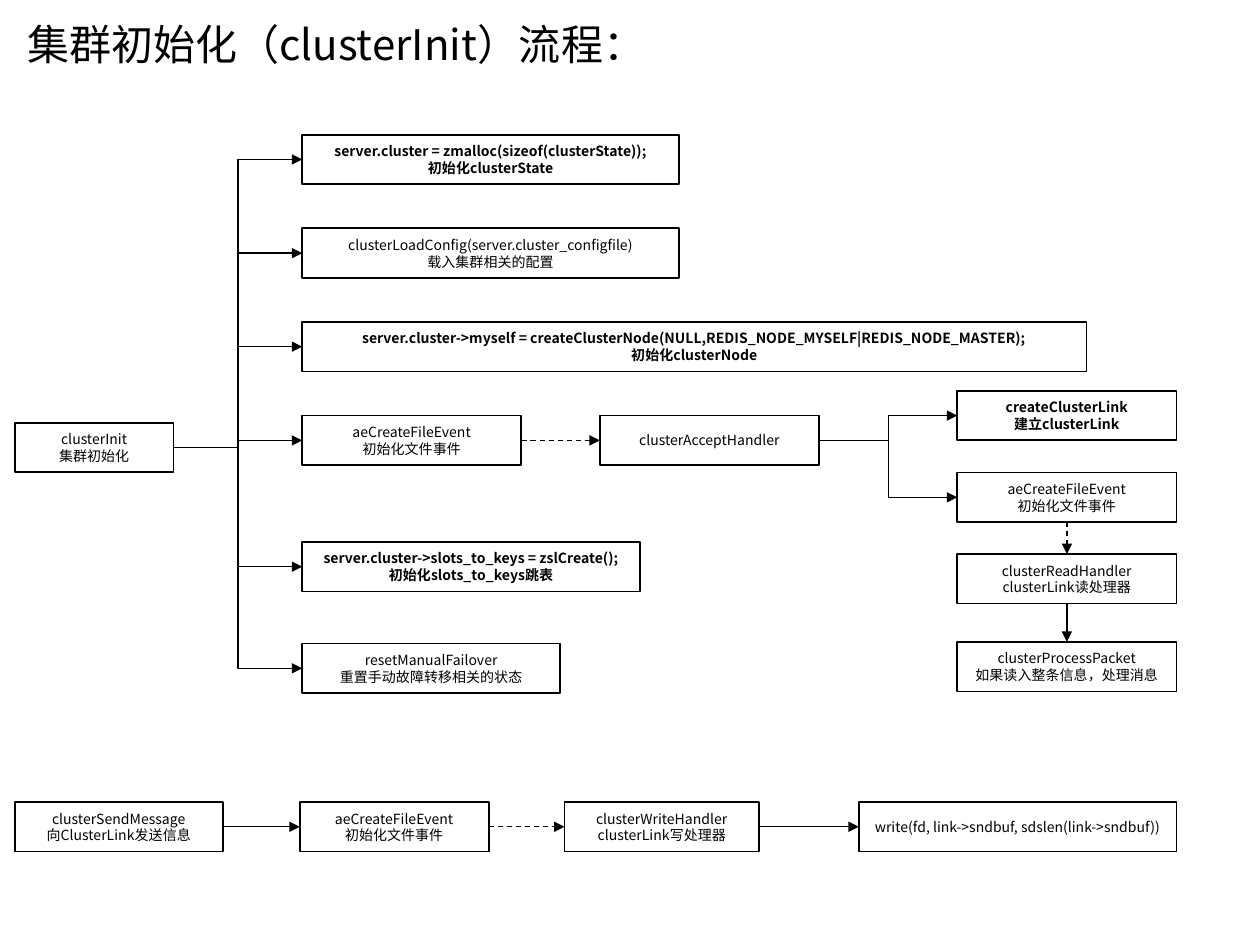
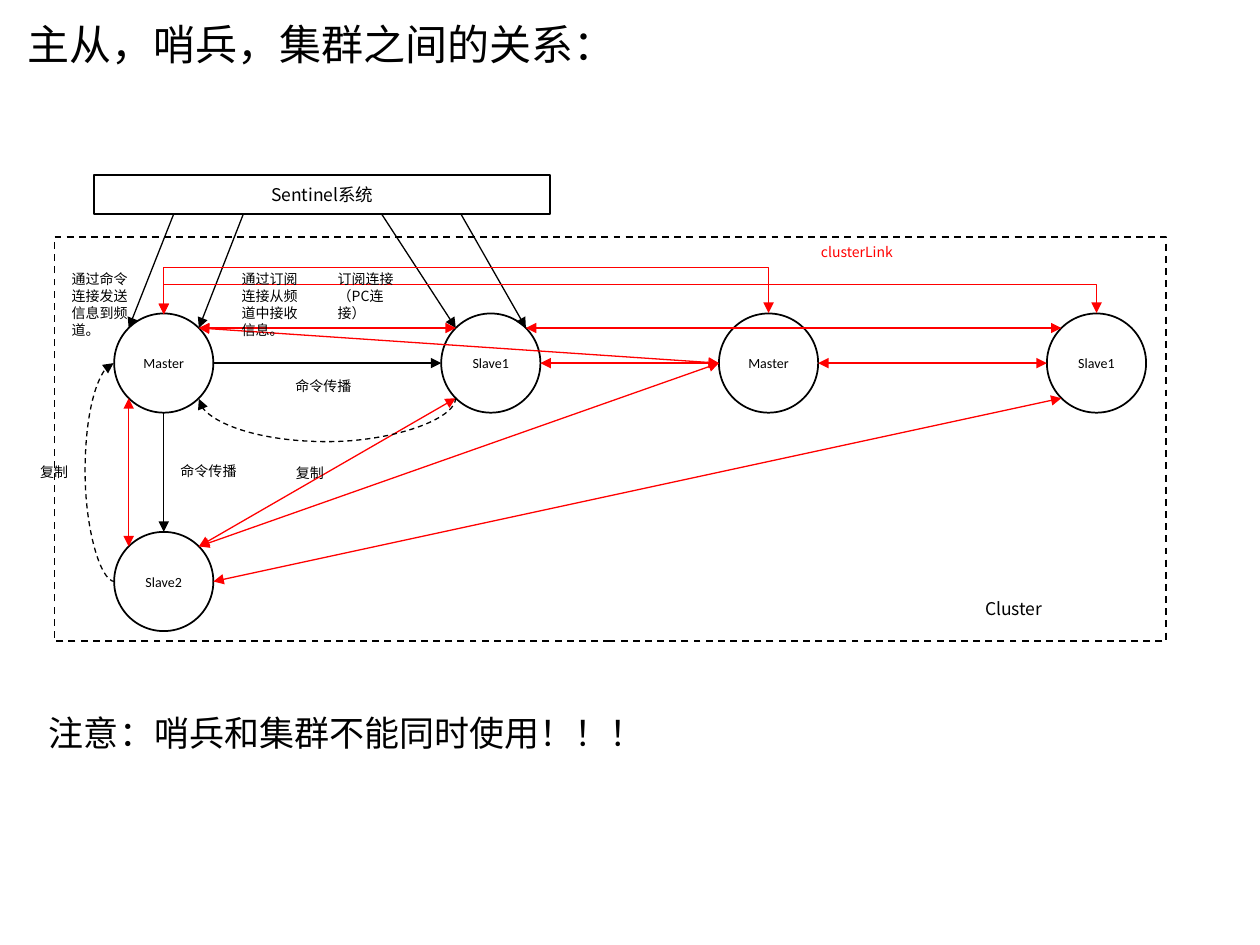
import math

import pptx
import pptx.dml.color
import pptx.enum.dml
import pptx.enum.shapes
import pptx.enum.text
import pptx.oxml.ns
import pptx.util
from lxml import etree

Pt = pptx.util.Pt
qn = pptx.oxml.ns.qn
SHAPE = pptx.enum.shapes.MSO_SHAPE
LINK = pptx.enum.shapes.MSO_CONNECTOR
DASH = pptx.enum.dml.MSO_LINE.DASH
TEXT = pptx.enum.text

# Shared look
COLORS = {"ink": "000000", "paper": "FFFFFF", "link": "FF0000"}
SANS, LATIN = "Noto Sans CJK SC", "Calibri"
TOP, LEFT, BOTTOM, RIGHT = range(4)

# Slide 1: name -> (left, top, width, bold, lines)
BOX_H = 28.35
COL, ROW, PITCH = 172.7, 77, 53.5        # first column of calls
SIDE, SIDE_W, SEND = 547, 125.3, 458.3   # right column, bottom row
INIT_BOXES = {
    "init": (8.5, 241.6, 90.7, False, ["clusterInit", "集群初始化"]),
    "state": (COL, ROW, 215.4, True,
              ["server.cluster = zmalloc(sizeof(clusterState));", "初始化clusterState"]),
    "config": (COL, ROW + PITCH, 215.4, False,
               ["clusterLoadConfig(server.cluster_configfile)", "载入集群相关的配置"]),
    "myself": (COL, ROW + 2 * PITCH, 448.2, True,
               ["server.cluster->myself = createClusterNode(NULL,REDIS_NODE_MYSELF|REDIS_NODE_MASTER);",
                "初始化clusterNode"]),
    "event": (COL, ROW + 3 * PITCH, SIDE_W, False, ["aeCreateFileEvent", "初始化文件事件"]),
    "slots": (COL, 309.7, 193, True,
              ["server.cluster->slots_to_keys = zslCreate();", "初始化slots_to_keys跳表"]),
    "failover": (COL, 367.7, 147.5, False, ["resetManualFailover", "重置手动故障转移相关的状态"]),
    "accept": (342.8, ROW + 3 * PITCH, SIDE_W, False, ["clusterAcceptHandler"]),
    "create": (SIDE, 223.3, SIDE_W, True, ["createClusterLink", "建立clusterLink"]),
    "read_event": (SIDE, 270, SIDE_W, False, ["aeCreateFileEvent", "初始化文件事件"]),
    "read": (SIDE, 316.6, SIDE_W, False, ["clusterReadHandler", "clusterLink读处理器"]),
    "process": (SIDE, 366.8, SIDE_W, False, ["clusterProcessPacket", "如果读入整条信息，处理消息"]),
    "send": (8.5, SEND, 118.8, False, ["clusterSendMessage", "向ClusterLink发送信息"]),
    "send_event": (171.3, SEND, 108, False, ["aeCreateFileEvent", "初始化文件事件"]),
    "write_handler": (322.6, SEND, 111.2, False, ["clusterWriteHandler", "clusterLink写处理器"]),
    "write": (490.8, SEND, 181.6, False, ["write(fd, link->sndbuf, sdslen(link->sndbuf))"]),
}
BRANCHES = {"init": ["state", "config", "myself", "event", "slots", "failover"],
            "accept": ["create", "read_event"]}
# (from, to, side left, side entered, dashed)
STEPS = [
    ("event", "accept", RIGHT, LEFT, True),
    ("read_event", "read", BOTTOM, TOP, True),
    ("read", "process", BOTTOM, TOP, False),
    ("send", "send_event", RIGHT, LEFT, False),
    ("send_event", "write_handler", RIGHT, LEFT, True),
    ("write_handler", "write", RIGHT, LEFT, False),
]

# Slide 2: name -> (label, centre x, centre y)
RADIUS = 28.35
NODES = {
    "m1": ("Master", 93.6, 207.5),
    "s1": ("Slave1", 280.5, 207.5),
    "s2": ("Slave2", 93.6, 332.3),
    "m2": ("Master", 439.2, 207.5),
    "s3": ("Slave1", 626.6, 207.5),
}
PORTS = ["e", "se", "s", "sw", "w", "nw", "n", "ne"]   # clockwise, 45 degrees apart
COMMANDS = [("m1", "e", "s1", "w"), ("m1", "s", "s2", "n")]
CLUSTER_LINKS = [
    ("m1", "ne", "s1", "nw"), ("s1", "sw", "s2", "ne"), ("m1", "sw", "s2", "nw"),
    ("m2", "w", "s1", "e"), ("m2", "w", "s2", "ne"), ("m2", "w", "m1", "ne"),
    ("s3", "w", "m2", "e"), ("s3", "nw", "s1", "ne"), ("s3", "sw", "s2", "e"),
]
SENTINEL = (53.8, 100.2, 260.6, 22.3)
WATCHES = [(99.2, "m1", "nw"), (139, "m1", "ne"), (218.2, "s1", "nw"), (263.5, "s1", "ne")]
# (kind, rotation, from, to, reach, colour)
LOOPS = [
    (LINK.CURVE, 90, ("s1", "sw"), ("m1", "se"), 25.6, "ink"),
    (LINK.CURVE, 180, ("s2", "w"), ("m1", "w"), 17.3, "ink"),
    (LINK.ELBOW, 270, ("m1", "n"), ("m2", "n"), 27.1, "link"),
    (LINK.ELBOW, 270, ("m1", "n"), ("s3", "n"), 17.3, "link"),
]
# (left, top, width, height, size, colour, lines)
LABELS = [
    (33.8, 151.2, 51.1, 46, 8, "ink", ["通过命令连接发送信息到频道。"]),
    (131, 151.2, 51.1, 46, 8, "ink", ["通过订阅连接从频道中接收信息。"]),
    (185.8, 151.2, 51.1, 26.6, 8, "ink", ["订阅连接", "（PC连接）"]),
    (161.7, 212.4, 51.1, 17, 8, "ink", ["命令传播"]),
    (96, 260.6, 51.1, 17, 8, "ink", ["命令传播"]),
    (162, 261.7, 51.1, 17, 8, "ink", ["复制"]),
    (15.8, 261.4, 51.1, 17, 8, "ink", ["复制"]),
    (462, 135.4, 94.3, 17, 8, "link", ["clusterLink"]),
    (555.8, 338.4, 51.1, 19.4, 10, "ink", ["Cluster"]),
    (20.9, 403.2, 344.9, 31.7, 20, "ink", ["注意：哨兵和集群不能同时使用！！！"]),
]


def rgb(name):
    return pptx.dml.color.RGBColor.from_string(COLORS[name])


def write(tf, lines, size, color="ink", bold=False, face=SANS, align=None):
    tf.word_wrap = True
    for i, line in enumerate(lines):
        p = tf.paragraphs[0] if i == 0 else tf.add_paragraph()
        p.alignment = align
        r = p.add_run()
        r.text = line
        for key, value in {"name": face, "size": Pt(size), "bold": bold}.items():
            setattr(r.font, key, value)
        etree.SubElement(r.font._element, qn("a:ea"), typeface=face)
        r.font.color.rgb = rgb(color)


def add_label(s, left, top, width, height, size, color, lines):
    sp = s.shapes.add_textbox(Pt(left), Pt(top), Pt(width), Pt(height))
    write(sp.text_frame, lines, size, color)
    sp.text_frame.auto_size = TEXT.MSO_AUTO_SIZE.SHAPE_TO_FIT_TEXT


def add_box(s, kind, box, lines=(), size=8, bold=False, face=SANS, dashed=False):
    sp = s.shapes.add_shape(kind, *map(Pt, box))
    sp.shadow.inherit = False
    sp.fill.solid()
    sp.fill.fore_color.rgb = rgb("paper")
    sp.line.color.rgb = rgb("ink")
    sp.line.width = Pt(1)
    if dashed:
        sp.line.dash_style = DASH
    sp.text_frame.vertical_anchor = TEXT.MSO_ANCHOR.MIDDLE
    write(sp.text_frame, lines, size, "ink", bold, face, TEXT.PP_ALIGN.CENTER)
    return sp


def add_arrow(s, kind, start, end, color="ink", dashed=False, both=False):
    cx = s.shapes.add_connector(kind, *map(Pt, (*start, *end)))
    cx.line.color.rgb = rgb(color)
    cx.line.width = Pt(0.75)
    if dashed:
        cx.line.dash_style = DASH
    ln = cx.line._get_or_add_ln()
    for tag in (["a:headEnd"] if both else []) + ["a:tailEnd"]:
        etree.SubElement(ln, qn(tag), type="triangle")
    etree.SubElement(cx._element.spPr, qn("a:effectLst"))
    return cx


def join(s, kind, a, b, side_a, side_b, dashed=False):
    cx = add_arrow(s, kind, (0, 0), (0, 0), dashed=dashed)
    cx.begin_connect(a, side_a)
    cx.end_connect(b, side_b)


def add_loop(s, kind, rotation, start, end, reach, color):
    """Connector that leaves and enters on the same side, bulging out by reach."""
    depth, span = 0.72, math.dist(start, end)
    x, y = ((a + b) / 2 for a, b in zip(start, end))
    red = color == "link"
    cx = add_arrow(s, kind, (x - depth / 2, y - span / 2), (x + depth / 2, y + span / 2),
                   color, dashed=not red, both=red)
    cx._element.spPr.find(qn("a:xfrm")).set("rot", str(rotation * 60000))
    geom = cx._element.spPr.find(qn("a:prstGeom"))
    av = geom.find(qn("a:avLst"))
    if av is None:
        av = etree.SubElement(geom, qn("a:avLst"))
    etree.SubElement(av, qn("a:gd"), name="adj1", fmla=f"val {round(reach / depth * 100000)}")


def port(node, side):
    _, x, y = NODES[node]
    angle = math.radians(45 * PORTS.index(side))
    return x + RADIUS * math.cos(angle), y + RADIUS * math.sin(angle)


def new_slide(prs):
    return prs.slides.add_slide(prs.slide_layouts[6])


def add_title(s, text):
    add_label(s, 8.6, 7.2, 657, 36, 24, "ink", [text])


def build_init(prs):
    s = new_slide(prs)
    add_title(s, "集群初始化（clusterInit）流程：")
    boxes = {name: add_box(s, SHAPE.RECTANGLE, (left, top, width, BOX_H), lines, bold=bold)
             for name, (left, top, width, bold, lines) in INIT_BOXES.items()}
    for source, targets in BRANCHES.items():
        for target in targets:
            join(s, LINK.ELBOW, boxes[source], boxes[target], RIGHT, LEFT)
    for a, b, side_a, side_b, dashed in STEPS:
        join(s, LINK.STRAIGHT, boxes[a], boxes[b], side_a, side_b, dashed)


def build_relations(prs):
    s = new_slide(prs)
    # Cluster frame, sentinel and nodes
    add_box(s, SHAPE.RECTANGLE, (31.1, 135.4, 635.2, 231), dashed=True)
    add_title(s, "主从，哨兵，集群之间的关系：")
    add_box(s, SHAPE.RECTANGLE, SENTINEL, ["Sentinel系统"], size=10)
    for label, x, y in NODES.values():
        add_box(s, SHAPE.OVAL, (x - RADIUS, y - RADIUS, 2 * RADIUS, 2 * RADIUS),
                [label], face=LATIN)
    # Arrows
    for x, node, side in WATCHES:
        add_arrow(s, LINK.STRAIGHT, (x, SENTINEL[1] + SENTINEL[3]), port(node, side))
    for links, color in ((COMMANDS, "ink"), (CLUSTER_LINKS, "link")):
        for a, side_a, b, side_b in links:
            add_arrow(s, LINK.STRAIGHT, port(a, side_a), port(b, side_b), color,
                      both=color == "link")
    for kind, rotation, start, end, reach, color in LOOPS:
        add_loop(s, kind, rotation, port(*start), port(*end), reach, color)
    # Labels
    for label in LABELS:
        add_label(s, *label)


def main():
    prs = pptx.Presentation()
    prs.slide_width, prs.slide_height = Pt(720), Pt(540)
    build_init(prs)
    build_relations(prs)
    prs.save("out.pptx")


if __name__ == "__main__":
    main()
